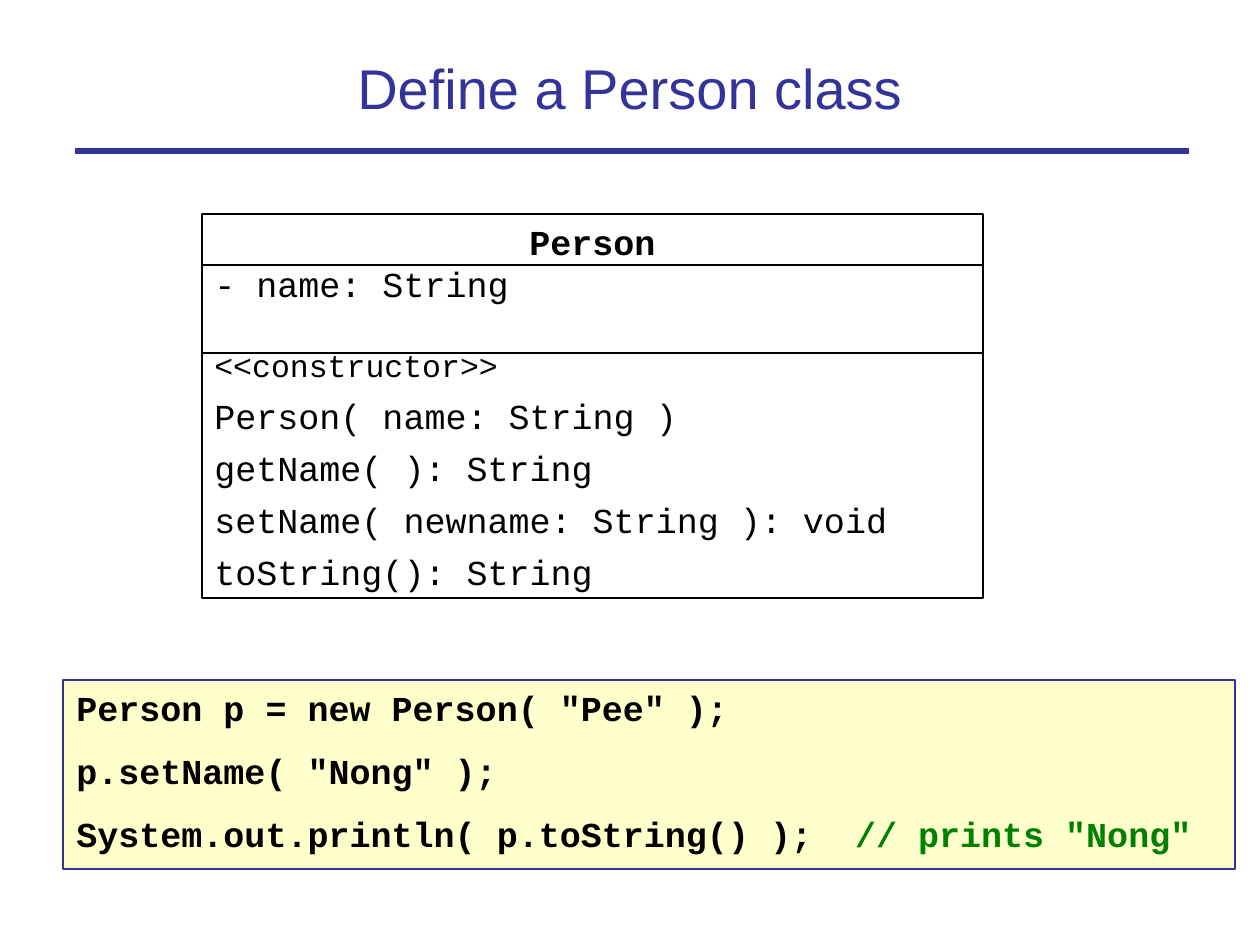
from dataclasses import dataclass

from lxml import etree
from pptx import Presentation
from pptx.dml.color import RGBColor
from pptx.enum.shapes import MSO_CONNECTOR, MSO_SHAPE
from pptx.enum.text import MSO_ANCHOR, MSO_AUTO_SIZE, PP_ALIGN
from pptx.oxml.ns import qn
from pptx.util import Emu, Pt

RECTANGLE = MSO_SHAPE.RECTANGLE
STRAIGHT = MSO_CONNECTOR.STRAIGHT
LEFT, CENTER = PP_ALIGN.LEFT, PP_ALIGN.CENTER
TOP, MIDDLE = MSO_ANCHOR.TOP, MSO_ANCHOR.MIDDLE
NO_FIT = MSO_AUTO_SIZE.NONE
TITLE_ONLY = 5
EMU_PER_PX = 914400 // 126


@dataclass(frozen=True)
class Theme:
    """Colours, fonts and type sizes of the slide."""
    accent: RGBColor = RGBColor(0x33, 0x33, 0x99)
    ink: RGBColor = RGBColor(0, 0, 0)
    code_fill: RGBColor = RGBColor(0xFF, 0xFF, 0xCC)
    comment: RGBColor = RGBColor(0, 0x80, 0)
    title_font: str = "Arial"
    code_font: str = "Courier New"
    title_size: int = 32
    code_size: int = 20
    stereotype_size: int = 18
    thin: float = 0.75
    thick: float = 3


THEME = Theme()


def px(length):
    """Turn whole px into EMU."""
    return Emu(length * EMU_PER_PX)


def style_font(font, name, size, color, bold=False):
    """Set the face, size, colour and weight of a font."""
    font.name, font.size, font.bold = name, Pt(size), bold
    font.color.rgb = color


def add_title(slide, text):
    """Place and format the title placeholder."""
    title = slide.shapes.title
    title.left, title.top, title.width, title.height = map(px, (84, 36, 1092, 103))
    frame = title.text_frame
    frame.text = text
    frame.auto_size = NO_FIT
    frame.vertical_anchor = MIDDLE
    paragraph = frame.paragraphs[0]
    paragraph.alignment = CENTER
    style_font(paragraph.font, THEME.title_font, THEME.title_size, THEME.accent)


def add_rule(slide, left, right, top, color, weight):
    """Draw a horizontal line without a shadow."""
    line = slide.shapes.add_connector(STRAIGHT, px(left), px(top), px(right), px(top))
    line.line.color.rgb = color
    line.line.width = Pt(weight)
    etree.SubElement(line._element.spPr, qn("a:effectLst"))


def add_box(slide, left, top, width, height, line_color, fill_color=None):
    """Draw a bordered rectangle and return its text frame."""
    box = slide.shapes.add_shape(RECTANGLE, px(left), px(top), px(width), px(height))
    box.shadow.inherit = False
    box.line.color.rgb = line_color
    box.line.width = Pt(THEME.thin)
    if fill_color is None:
        box.fill.background()
    else:
        box.fill.solid()
        box.fill.fore_color.rgb = fill_color
    frame = box.text_frame
    frame.word_wrap = True
    frame.vertical_anchor = TOP
    return frame


def add_line(frame, text, size=THEME.code_size, bold=False, before=0, align=LEFT):
    """Write the next code paragraph in a frame and return it."""
    first = frame.paragraphs[0]
    paragraph = frame.add_paragraph() if first.runs else first
    paragraph.add_run().text = text
    paragraph.alignment = align
    paragraph.space_before = Pt(before)
    style_font(paragraph.font, THEME.code_font, size, THEME.ink, bold)
    return paragraph


def add_class_diagram(slide):
    """Draw the class box with its name, attribute and method sections."""
    left, width = 202, 781
    frame = add_box(slide, left, 214, width, 384, THEME.ink)
    add_line(frame, "Person", bold=True, align=CENTER)
    add_line(frame, "- name: String")
    add_line(frame, "<<constructor>>", THEME.stereotype_size, before=24)
    for method in ("Person( name: String )", "getName( ): String",
                   "setName( newname: String ): void", "toString(): String"):
        add_line(frame, method, before=5.8)
    for top in (265, 353):
        add_rule(slide, left, left + width, top, THEME.ink, THEME.thin)


def add_code(slide):
    """Draw the code panel with its closing comment."""
    frame = add_box(slide, 63, 680, 1172, 189, THEME.accent, THEME.code_fill)
    statements = ('Person p = new Person( "Pee" );', 'p.setName( "Nong" );',
                  "System.out.println( p.toString() );  ")
    for index, statement in enumerate(statements):
        paragraph = add_line(frame, statement, bold=True, before=12 if index else 0)
        properties = paragraph._p.get_or_add_pPr()
        properties.set("marL", str(px(63)))
        properties.set("indent", str(px(-62)))
    comment = paragraph.add_run()
    comment.text = '// prints "Nong"'
    comment.font.color.rgb = THEME.comment


def main():
    """Build and save the slide."""
    presentation = Presentation()
    presentation.slide_width, presentation.slide_height = px(1260), px(945)
    slide = presentation.slides.add_slide(presentation.slide_layouts[TITLE_ONLY])
    add_rule(slide, 75, 1189, 151, THEME.accent, THEME.thick)
    add_title(slide, "Define a Person class")
    add_class_diagram(slide)
    add_code(slide)
    presentation.save("out.pptx")


if __name__ == "__main__":
    main()
